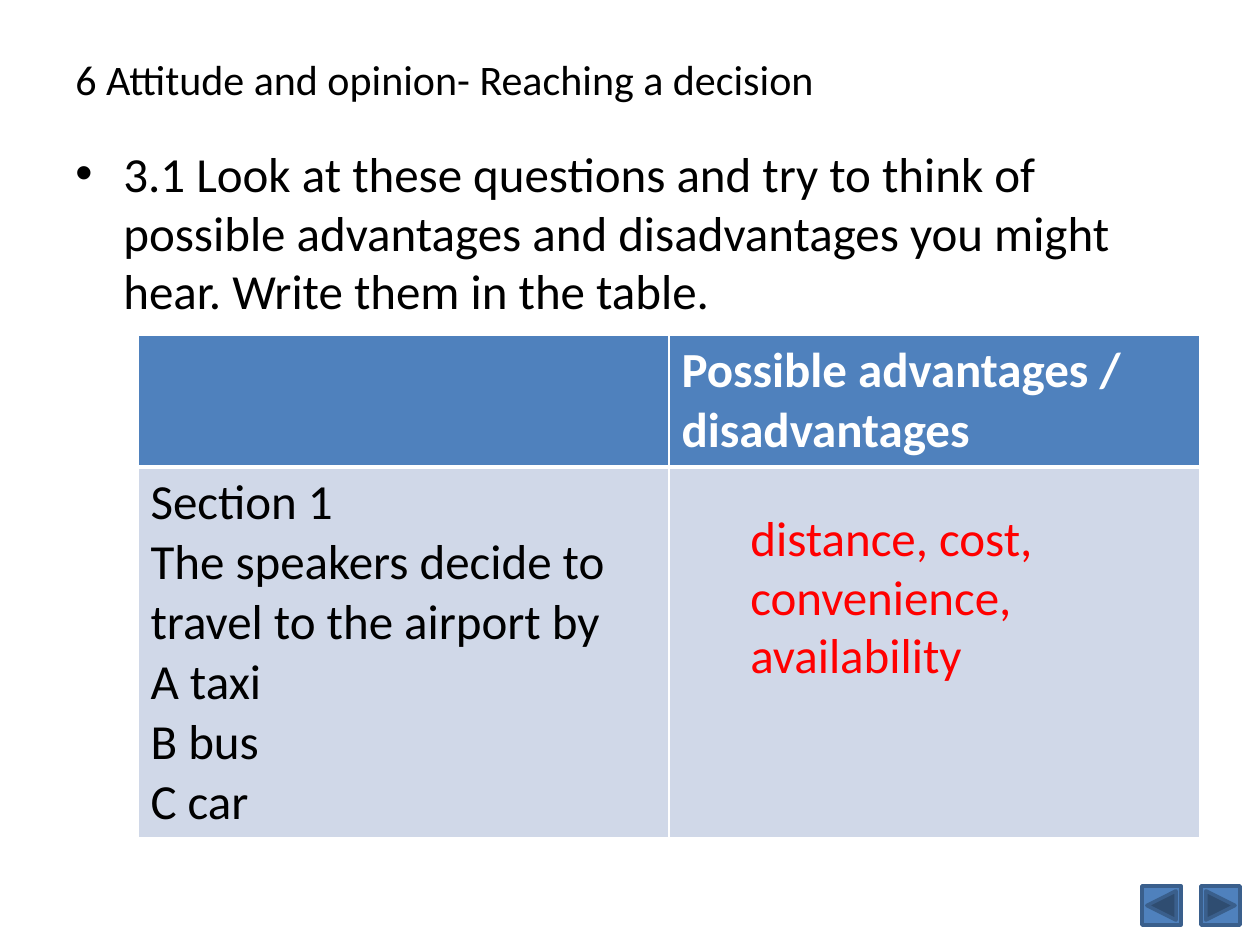
from dataclasses import dataclass

from lxml.etree import SubElement
from pptx import Presentation
from pptx.dml.color import RGBColor
from pptx.enum.shapes import MSO_SHAPE as Preset
from pptx.enum.text import MSO_ANCHOR as Anchor, MSO_AUTO_SIZE as AutoSize
from pptx.oxml.ns import qn
from pptx.util import Emu, Pt

EMU_PER_PIXEL = 914400 / 126
BLACK = RGBColor(0x00, 0x00, 0x00)
WHITE = RGBColor(0xFF, 0xFF, 0xFF)
RED = RGBColor(0xFF, 0x00, 0x00)
BLUE = RGBColor(0x4F, 0x81, 0xBD)
DARK_BLUE = RGBColor(0x3A, 0x5F, 0x8C)
PALE_BLUE = RGBColor(0xD0, 0xD8, 0xE8)


@dataclass
class TextBox:
    text: str
    box: tuple[int, int, int, int]
    size: int = 28
    color: RGBColor = BLACK
    anchor: Anchor = Anchor.TOP
    space_before: float = 0
    bullet_indent: int = 0
    grow: bool = False


@dataclass
class Cell:
    lines: list[str]
    fill: RGBColor
    color: RGBColor = BLACK
    bold: bool = False
    bottom: int = 1


@dataclass
class NavigationButton:
    preset: Preset
    left: int


def px(pixels: float) -> Emu:
    return Emu(round(pixels * EMU_PER_PIXEL))


def write_text(frame, lines: list[str], *, size: int = 28, color: RGBColor = BLACK,
               bold: bool = False, space_before: float = 0, bullet_indent: int = 0) -> None:
    for index, line in enumerate(lines):
        paragraph = frame.add_paragraph() if index else frame.paragraphs[0]
        paragraph.space_before = Pt(space_before)
        if bullet_indent:
            properties = paragraph._p.get_or_add_pPr()
            properties.set("marL", str(px(bullet_indent)))
            properties.set("indent", str(-px(bullet_indent)))
            SubElement(properties, qn("a:buFont"), typeface="Arial")
            SubElement(properties, qn("a:buChar"), char="•")
        run = paragraph.add_run()
        run.text = line
        run.font.name = "Calibri"
        run.font.size = Pt(size)
        run.font.bold = bold
        run.font.color.rgb = color


def add_text_box(slide, item: TextBox) -> None:
    shape = slide.shapes.add_textbox(*map(px, item.box))
    frame = shape.text_frame
    frame.word_wrap = True
    frame.vertical_anchor = item.anchor
    if item.grow:
        frame.auto_size = AutoSize.SHAPE_TO_FIT_TEXT
    write_text(frame, [item.text], size=item.size, color=item.color,
               space_before=item.space_before, bullet_indent=item.bullet_indent)


def set_borders(cell, bottom: int) -> None:
    properties = cell._tc.get_or_add_tcPr()
    widths = {"lnL": 1, "lnR": 1, "lnT": 1, "lnB": bottom}
    for index, (edge, width) in enumerate(widths.items()):
        line = SubElement(properties, qn(f"a:{edge}"), w=str(Pt(width)))
        fill = SubElement(line, qn("a:solidFill"))
        SubElement(fill, qn("a:srgbClr"), val=str(WHITE))
        properties.insert(index, line)


def add_table(slide, rows: list[list[Cell]], left: int, top: int,
              column_width: int, heights: list[int]) -> None:
    columns = len(rows[0])
    frame = slide.shapes.add_table(len(rows), columns, px(left), px(top),
                                   px(column_width * columns), px(sum(heights)))
    table = frame.table
    for column in table.columns:
        column.width = px(column_width)
    for row_index, row in enumerate(rows):
        table.rows[row_index].height = px(heights[row_index])
        for column_index, item in enumerate(row):
            cell = table.cell(row_index, column_index)
            cell.fill.solid()
            cell.fill.fore_color.rgb = item.fill
            set_borders(cell, item.bottom)
            write_text(cell.text_frame, item.lines, color=item.color, bold=item.bold)


def add_button(slide, button: NavigationButton) -> None:
    shape = slide.shapes.add_shape(button.preset, px(button.left), px(886), px(39), px(39))
    shape.shadow.inherit = False
    shape.fill.solid()
    shape.fill.fore_color.rgb = BLUE
    shape.line.color.rgb = DARK_BLUE
    shape.line.width = Pt(2)


TITLE = TextBox("6 Attitude and opinion- Reaching a decision", (63, 38, 1134, 81),
                size=24, anchor=Anchor.MIDDLE)
TASK = TextBox("3.1 Look at these questions and try to think of possible advantages and "
               "disadvantages you might hear. Write them in the table. ",
               (63, 137, 1134, 197), space_before=5.6, bullet_indent=48)
ANSWER = TextBox("distance, cost, convenience, availability", (738, 501, 364, 190),
                 color=RED, space_before=5.6, grow=True)
BUTTONS = [NavigationButton(Preset.ACTION_BUTTON_BACK_OR_PREVIOUS, 1142),
           NavigationButton(Preset.ACTION_BUTTON_FORWARD_OR_NEXT, 1201)]
ROWS = [
    [Cell([], BLUE, bottom=3),
     Cell(["Possible advantages / disadvantages"], BLUE, WHITE, bold=True, bottom=3)],
    [Cell(["Section 1", "The speakers decide to travel to the airport by ",
           "A taxi", "B bus", "C car"], PALE_BLUE),
     Cell([], PALE_BLUE)],
]

presentation = Presentation()
presentation.slide_width = px(1260)
presentation.slide_height = px(945)
slide = presentation.slides.add_slide(presentation.slide_layouts[6])

# Heading and task
add_text_box(slide, TITLE)
add_text_box(slide, TASK)

# Navigation
for button in BUTTONS:
    add_button(slide, button)

# Table with the answer over it
add_table(slide, ROWS, left=138, top=335, column_width=531, heights=[132, 371])
add_text_box(slide, ANSWER)

presentation.save("out.pptx")
